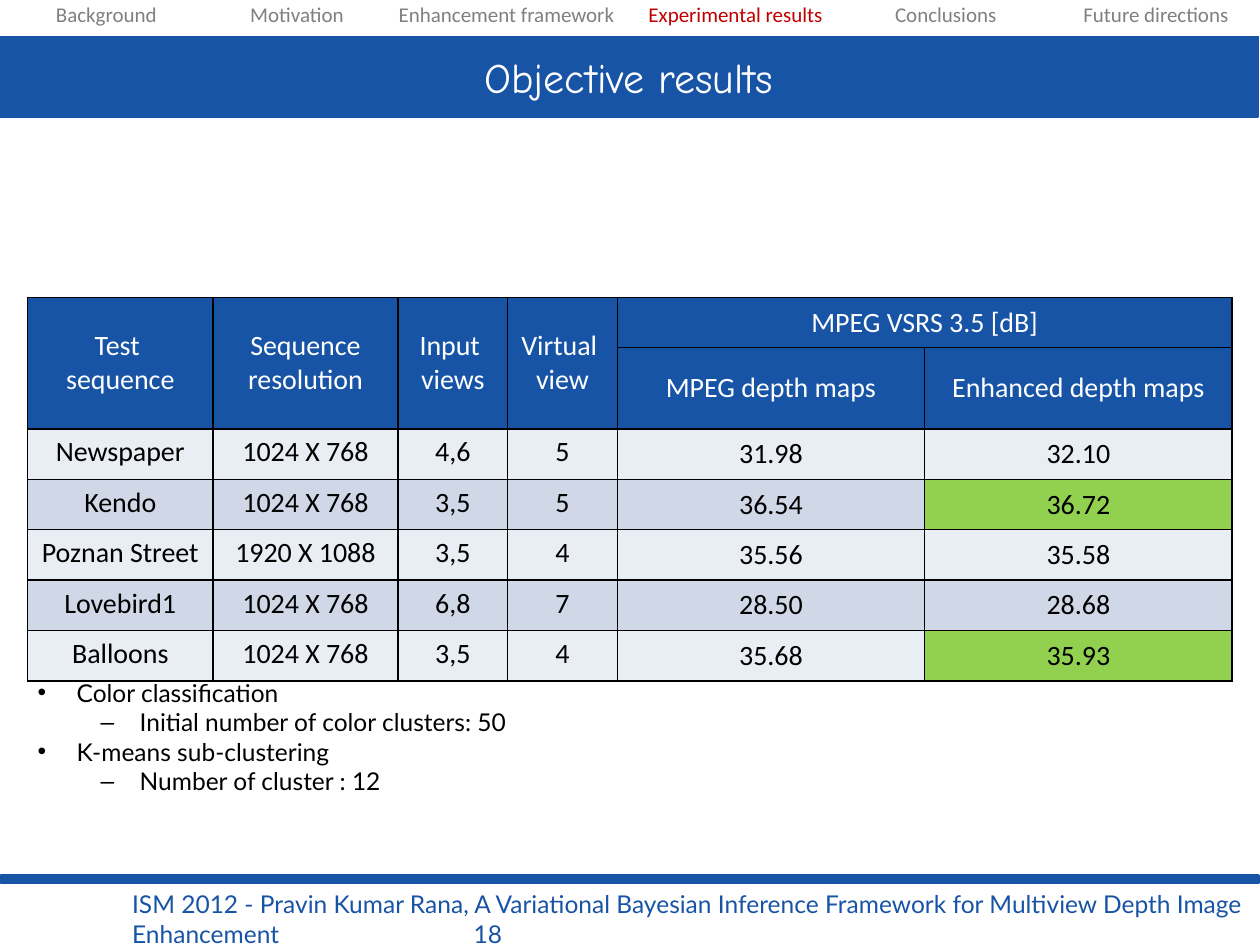
from pptx import Presentation
from pptx.dml.color import RGBColor
from pptx.enum.shapes import MSO_SHAPE as Preset
from pptx.enum.text import MSO_ANCHOR as Anchor, MSO_AUTO_SIZE as AutoSize, PP_ALIGN as Align
from pptx.oxml.ns import qn
from pptx.util import Inches, Pt
from lxml.etree import SubElement

BLUE, WHITE, BLACK, GREY, RED, GREEN = "1854A6", "FFFFFF", "000000", "808080", "C00000", "92D050"
BANDS = ("E9EDF4", "D0D8E8")
NAVIGATION = ["Background", "Motivation", "Enhancement framework",
              "Experimental results", "Conclusions", "Future directions"]
HEADERS = ["Test \nsequence", "Sequence\nresolution", "Input \nviews", "Virtual \nview"]
SCORES = "MPEG VSRS 3.5 [dB]"
SCORE_HEADERS = ["MPEG depth maps", "Enhanced depth maps"]
RESULTS = [
    ["Newspaper", "1024 X 768", "4,6", "5", "31.98", "32.10"],
    ["Kendo", "1024 X 768", "3,5", "5", "36.54", "36.72"],
    ["Poznan Street", "1920 X 1088", "3,5", "4", "35.56", "35.58"],
    ["Lovebird1", "1024 X 768", "6,8", "7", "28.50", "28.68"],
    ["Balloons", "1024 X 768", "3,5", "4", "35.68", "35.93"],
]
BEST = {"Kendo", "Balloons"}
SETTINGS = [(0, "Color classification"), (1, "Initial number of color clusters: 50"),
            (0, "K-means sub-clustering"), (1, "Number of cluster : 12")]


def color(value):
    return RGBColor.from_string(value)


def place(box):
    return [Inches(length) for length in box]


def format_paragraph(paragraph, name, size, ink, align=None):
    paragraph.alignment = align
    for key, value in {"name": name, "size": Pt(size), "bold": False}.items():
        setattr(paragraph.font, key, value)
    paragraph.font.color.rgb = color(ink)


def paint(shape):
    shape.shadow.inherit = False
    shape.fill.solid()
    shape.fill.fore_color.rgb = color(BLUE)
    shape.line.color.rgb = color(BLUE)
    shape.line.width = Pt(2)


def add_grid(slide, box, columns, rows):
    """Add a plain table whose columns share the width of the box."""
    table = slide.shapes.add_table(rows, len(columns), *place(box)).table
    table.first_row = table.horz_banding = False
    for column, share in zip(table.columns, columns):
        column.width = Inches(box[2] * share / sum(columns))
    return table


def write_cell(cell, text, size, ink, fill=None, anchor=Anchor.MIDDLE):
    cell.text = text
    cell.vertical_anchor = anchor
    for paragraph in cell.text_frame.paragraphs:
        format_paragraph(paragraph, "Calibri", size, ink, Align.CENTER)
    if fill:
        cell.fill.solid()
        cell.fill.fore_color.rgb = color(fill)
    else:
        cell.fill.background()


def add_borders(cell):
    properties = cell._tc.get_or_add_tcPr()
    for side in ("lnL", "lnR", "lnT", "lnB"):
        line = SubElement(properties, qn(f"a:{side}"), w=str(Pt(1)))
        SubElement(SubElement(line, qn("a:solidFill")), qn("a:srgbClr"), val=BLACK)


def add_navigation(slide, box):
    table = add_grid(slide, box, [1.67, 1.36, 1.97, 1.67, 1.67, 1.67], 1)
    for cell, label in zip(table.rows[0].cells, NAVIGATION):
        write_cell(cell, label, 12, RED if label == "Experimental results" else GREY)


def add_title(slide, box):
    title = slide.shapes.title
    title.left, title.top, title.width, title.height = place(box)
    paint(title)
    frame = title.text_frame
    frame.text = "Objective results"
    frame.auto_size = AutoSize.NONE
    frame.vertical_anchor = Anchor.MIDDLE
    format_paragraph(frame.paragraphs[0], "Comic Neue", 24, WHITE, Align.CENTER)


def add_results(slide, box):
    table = add_grid(slide, box, [1.47, 1.47, 0.87, 0.87, 2.44, 2.44], len(RESULTS) + 2)
    for cell in table.iter_cells():
        add_borders(cell)

    # Two header rows: four tall cells, then one wide cell over the two scores
    header_rows = [HEADERS + [SCORES, ""], [""] * len(HEADERS) + SCORE_HEADERS]
    for row, labels in enumerate(header_rows):
        for column, label in enumerate(labels):
            write_cell(table.cell(row, column), label, 16, WHITE, BLUE)
    for column in range(len(HEADERS)):
        table.cell(0, column).merge(table.cell(1, column))
    table.cell(0, 4).merge(table.cell(0, 5))

    # Banded results, with the best gains in green
    for index, values in enumerate(RESULTS):
        for column, value in enumerate(values):
            best = column == 5 and values[0] in BEST
            write_cell(table.cell(index + 2, column), value, 16, BLACK,
                       GREEN if best else BANDS[index % 2],
                       Anchor.MIDDLE if column >= 4 else Anchor.TOP)


def add_text(slide, box, wrap):
    frame = slide.shapes.add_textbox(*place(box)).text_frame
    frame.word_wrap = wrap
    frame.auto_size = AutoSize.SHAPE_TO_FIT_TEXT
    return frame


def add_settings(slide, box):
    frame = add_text(slide, box, False)
    for index, (level, text) in enumerate(SETTINGS):
        paragraph = frame.add_paragraph() if index else frame.paragraphs[0]
        paragraph.text = text
        paragraph.level = level
        properties = paragraph._p.get_or_add_pPr()
        properties.set("marL", str(Inches(0.31 + 0.5 * level)))
        properties.set("indent", str(Inches(-0.31)))
        SubElement(properties, qn("a:buFont"), typeface="Arial")
        SubElement(properties, qn("a:buChar"), char="•–"[level])
        format_paragraph(paragraph, "Lato", 14, BLACK)


def add_footer(slide, box):
    left, top, width, height = box
    paint(slide.shapes.add_shape(Preset.RECTANGLE, *place((left, top, width, 0.05))))
    frame = add_text(slide, (left + 0.94, top + 0.06, width - 0.96, height - 0.06), True)
    paragraph = frame.paragraphs[0]
    paragraph.text = ("ISM 2012 - Pravin Kumar Rana, A Variational Bayesian Inference "
                      "Framework for Multiview Depth Image Enhancement\t18")
    tabs = SubElement(paragraph._p.get_or_add_pPr(), qn("a:tabLst"))
    SubElement(tabs, qn("a:tab"), pos=str(Inches(2.71)), algn="l")
    format_paragraph(paragraph, "Lato", 14, BLUE)


def main():
    presentation = Presentation()
    presentation.slide_width, presentation.slide_height = Inches(10), Inches(7.5)
    slide = presentation.slides.add_slide(presentation.slide_layouts[5])
    add_title(slide, (0, 0.29, 9.98, 0.63))
    add_results(slide, (0.22, 2.36, 9.56, 2.8))
    add_navigation(slide, (0.01, -0.03, 10, 0.31))
    add_settings(slide, (0.2, 5.33, 3.95, 1.04))
    add_footer(slide, (0.01, 6.95, 9.98, 0.4))
    presentation.save("out.pptx")


if __name__ == "__main__":
    main()
